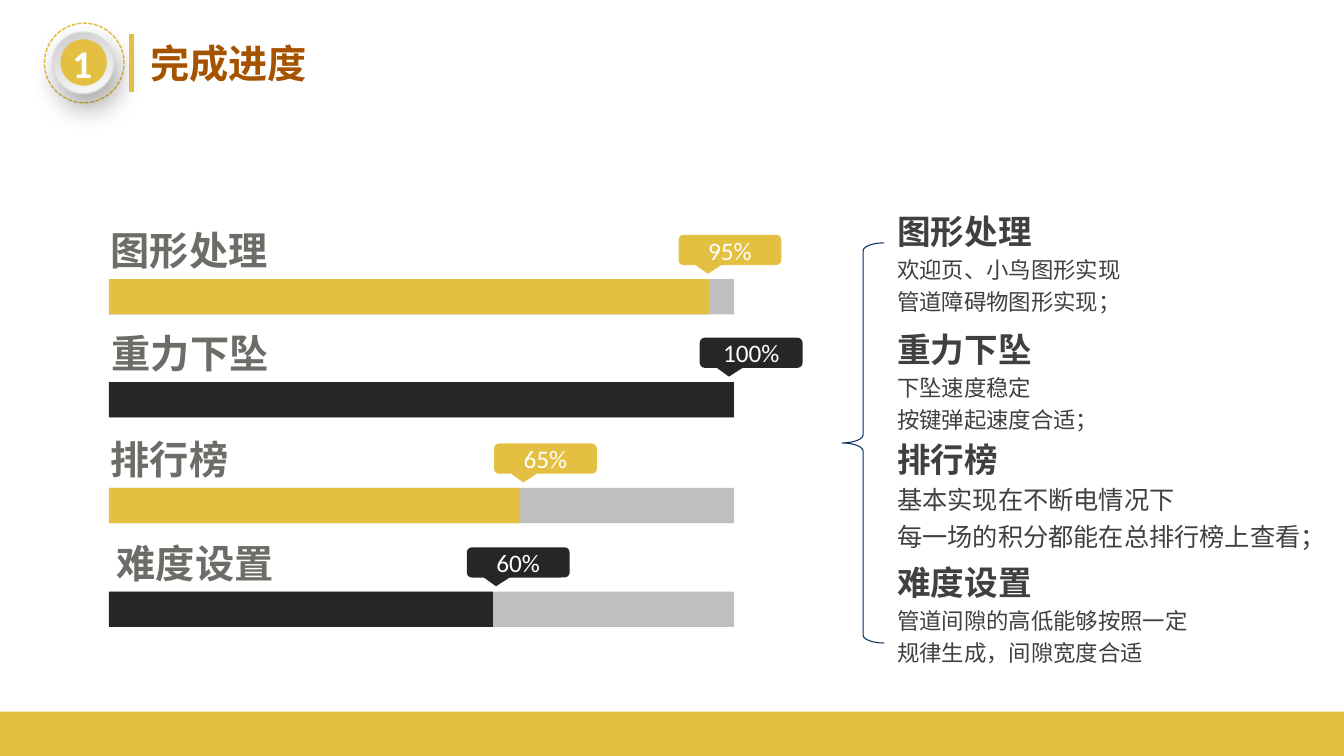
from dataclasses import dataclass
from typing import Any, Optional

import lxml.etree
import pptx
import pptx.dml.color
import pptx.enum.dml
import pptx.enum.shapes
import pptx.enum.text
import pptx.oxml.ns
import pptx.util

PX = 9144  # 100 px to the inch
COLOURS = {
    "gold": "E3BF42", "black": "262626", "track": "BFBFBF", "title": "A65300",
    "label": "6E6C67", "body": "404040", "white": "FFFFFF", "brace": "052E65",
    "rim": "D9D9D9", "disc_dark": "CCCCCC", "disc_light": "FCFCFC", "shadow": "000000",
}
LATIN, CHINESE = "Calibri", "Noto Sans CJK SC"
SHAPES = pptx.enum.shapes.MSO_SHAPE
ALIGN = pptx.enum.text.PP_ALIGN
ANCHOR = pptx.enum.text.MSO_ANCHOR
INSETS = {"margin_left": 13, "margin_top": 6, "margin_right": 13, "margin_bottom": 6}


@dataclass(frozen=True)
class Box:
    left: int
    top: int
    width: int
    height: int

    def emu(self) -> list[int]:
        return [n * PX for n in (self.left, self.top, self.width, self.height)]


@dataclass(frozen=True)
class Style:
    size: int
    colour: str
    bold: bool = False
    name: str = CHINESE


@dataclass(frozen=True)
class Progress:
    name: str
    percent: str
    colour: str
    top: int
    bar_width: int
    label_left: int
    callout_left: int


@dataclass(frozen=True)
class Detail:
    heading: str
    lines: tuple[str, ...]
    box: Box
    size: int = 16


PROGRESS = [
    Progress("图形处理", "95%", "gold", 277, 595, 100, 673),
    Progress("重力下坠", "100%", "black", 379, 620, 101, 694),
    Progress("排行榜", "65%", "gold", 484, 408, 100, 490),
    Progress("难度设置", "60%", "black", 587, 381, 106, 463),
]
DETAILS = [
    Detail("图形处理", ("欢迎页、小鸟图形实现", "管道障碍物图形实现；"), Box(877, 195, 336, 108)),
    Detail("重力下坠", ("下坠速度稳定", "按键弹起速度合适；"), Box(877, 312, 336, 108)),
    Detail("排行榜", ("基本实现在不断电情况下", "每一场的积分都能在总排行榜上查看；"),
           Box(877, 421, 456, 137), 18),
    Detail("难度设置", ("管道间隙的高低能够按照一定规律生成，间隙宽度合适",), Box(877, 543, 336, 108)),
]


def rgb(colour: str) -> pptx.dml.color.RGBColor:
    return pptx.dml.color.RGBColor.from_string(COLOURS[colour])


def add_shape(slide: Any, kind: Any, box: Box, fill: Optional[str] = None,
              line: Optional[str] = None, weight: float = 1,
              adjustments: tuple[float, ...] = ()) -> Any:
    shape = slide.shapes.add_shape(kind, *box.emu())
    shape.shadow.inherit = False
    for index, value in enumerate(adjustments):
        shape.adjustments[index] = value
    if fill:
        shape.fill.solid()
        shape.fill.fore_color.rgb = rgb(fill)
    else:
        shape.fill.background()
    if line:
        shape.line.color.rgb = rgb(line)
        shape.line.width = pptx.util.Pt(weight)
    else:
        shape.line.fill.background()
    return shape


def add_run(paragraph: Any, text: str, style: Style) -> None:
    run = paragraph.add_run()
    run.text = text
    run.font.color.rgb = rgb(style.colour)
    values = {"size": pptx.util.Pt(style.size), "bold": style.bold, "name": style.name}
    for attribute, value in values.items():
        setattr(run.font, attribute, value)
    # East Asian typeface
    east_asian = lxml.etree.SubElement(run.font._element, pptx.oxml.ns.qn("a:ea"))
    east_asian.set("typeface", style.name)


def set_insets(frame: Any) -> None:
    for attribute, value in INSETS.items():
        setattr(frame, attribute, value * PX)


def add_text(slide: Any, box: Box, rows: list[tuple[str, Style]], wrap: bool = True,
             spacing: Optional[float] = None) -> Any:
    frame = slide.shapes.add_textbox(*box.emu()).text_frame
    frame.word_wrap = wrap
    for index, (text, style) in enumerate(rows):
        paragraph = frame.add_paragraph() if index else frame.paragraphs[0]
        paragraph.line_spacing = spacing
        add_run(paragraph, text, style)
    return frame


def add_disc_shadow(shape: Any) -> None:
    effects = shape._element.spPr.find(pptx.oxml.ns.qn("a:effectLst"))
    effects.append(pptx.oxml.parse_xml(
        f'<a:outerShdw {pptx.oxml.ns.nsdecls("a")} blurRad="254000" dist="127000" '
        f'dir="4200000" algn="tl" rotWithShape="0"><a:srgbClr val="{COLOURS["shadow"]}">'
        '<a:alpha val="34000"/></a:srgbClr></a:outerShdw>'))


def add_header(slide: Any) -> None:
    ring = add_shape(slide, SHAPES.OVAL, Box(44, 23, 79, 79), line="gold")
    ring.line.dash_style = pptx.enum.dml.MSO_LINE.SQUARE_DOT
    disc = add_shape(slide, SHAPES.OVAL, Box(52, 32, 61, 61), line="rim")
    disc.fill.gradient()
    disc.fill.gradient_angle = 290
    for stop, colour in zip(disc.fill.gradient_stops, ("disc_dark", "disc_light")):
        stop.color.rgb = rgb(colour)
    for stop, position in zip(disc.fill.gradient_stops, (0, 1)):
        stop.position = position
    add_disc_shadow(disc)
    add_shape(slide, SHAPES.OVAL, Box(60, 39, 46, 46), "gold")
    add_text(slide, Box(62, 34, 40, 57), [("1", Style(28, "white", True, LATIN))], wrap=False)
    add_text(slide, Box(139, 34, 176, 57), [("完成进度", Style(28, "title", True))], wrap=False)
    add_shape(slide, SHAPES.RECTANGLE, Box(129, 34, 3, 57), "gold", "gold")


def add_progress(slide: Any, item: Progress) -> None:
    add_shape(slide, SHAPES.RECTANGLE, Box(109, item.top, 619, 35), "track")
    add_shape(slide, SHAPES.RECTANGLE, Box(108, item.top, item.bar_width, 35), item.colour)
    add_text(slide, Box(item.label_left, item.top - 57, 252, 57),
             [(item.name, Style(28, "label", True))])
    callout = add_shape(slide, SHAPES.ROUNDED_RECTANGULAR_CALLOUT,
                        Box(item.callout_left, item.top - 44, 102, 30), item.colour,
                        adjustments=(-0.216, 0.79, 0.167))
    frame = callout.text_frame
    set_insets(frame)
    frame.vertical_anchor = ANCHOR.MIDDLE
    frame.paragraphs[0].alignment = ALIGN.CENTER
    add_run(frame.paragraphs[0], item.percent, Style(18, "white", name=LATIN))


def add_detail(slide: Any, detail: Detail) -> None:
    rows = [(detail.heading, Style(24, "body", True))]
    rows += [(line, Style(detail.size, "body")) for line in detail.lines]
    set_insets(add_text(slide, detail.box, rows, spacing=1.2))


def main() -> None:
    presentation = pptx.Presentation()
    presentation.slide_width, presentation.slide_height = 1333 * PX, 750 * PX
    slide = presentation.slides.add_slide(presentation.slide_layouts[6])

    # Footer band and numbered title
    add_shape(slide, SHAPES.RECTANGLE, Box(0, 706, 1333, 44), "gold")
    add_header(slide)

    # Progress bars on the left
    for item in PROGRESS:
        add_progress(slide, item)

    # Brace and details on the right
    add_shape(slide, SHAPES.LEFT_BRACE, Box(835, 241, 42, 397), line="brace", weight=0.75,
              adjustments=(0.19, 0.5))
    for detail in DETAILS:
        add_detail(slide, detail)

    presentation.save("out.pptx")


if __name__ == "__main__":
    main()
